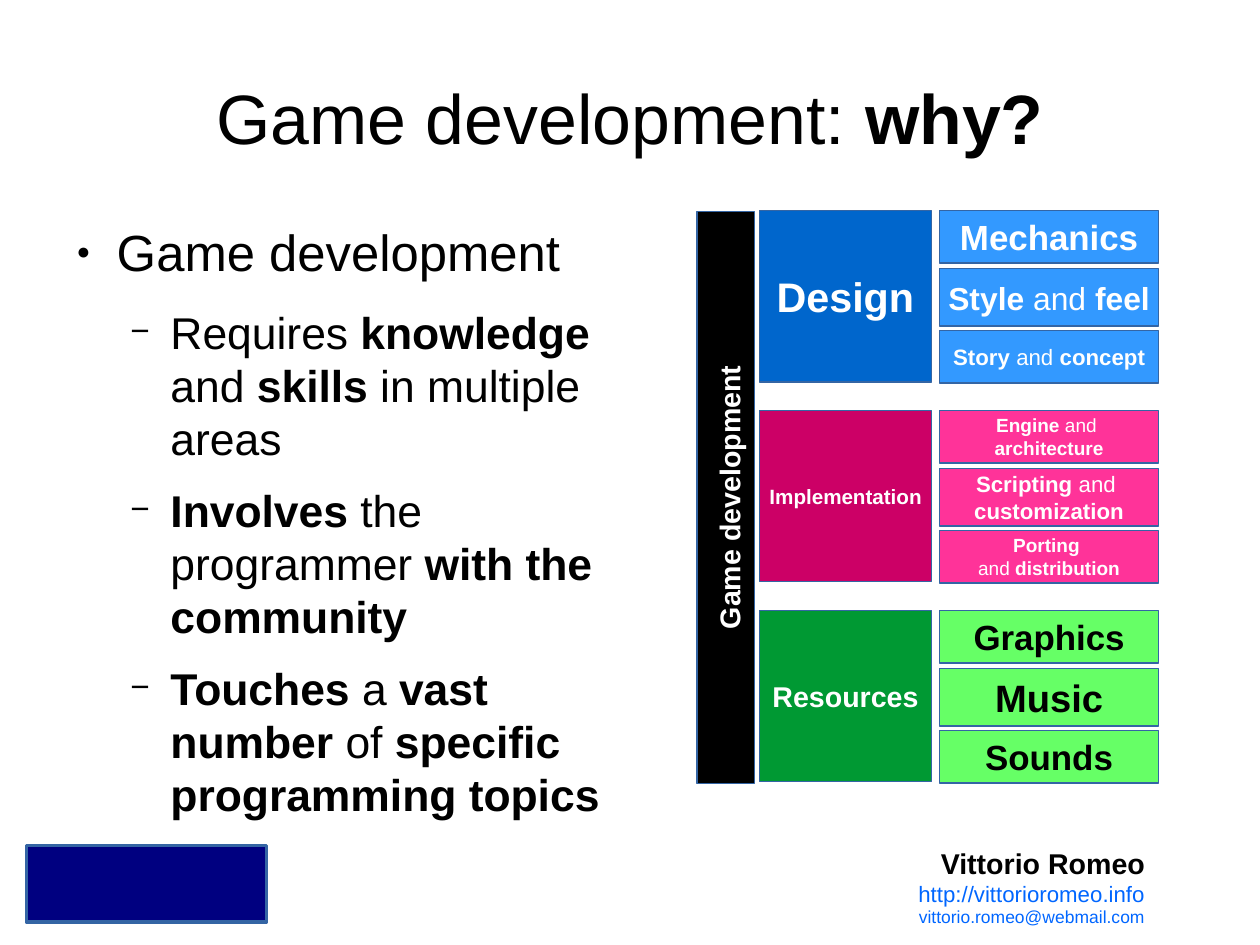
import pptx
import pptx.util
import pptx.dml.color
import pptx.enum.shapes
import pptx.enum.text
import lxml.etree

Pt = pptx.util.Pt
Inches = pptx.util.Inches
color = pptx.dml.color.RGBColor.from_string
ALIGN = pptx.enum.text.PP_ALIGN
ANCHOR = pptx.enum.text.MSO_ANCHOR

presentation = pptx.Presentation()
presentation.slide_width = pptx.util.Cm(28)
presentation.slide_height = pptx.util.Cm(21)
column = presentation.slide_width / 100   # grid of 100 columns
row = presentation.slide_height / 100     # by 100 rows
slide = presentation.slides.add_slide(presentation.slide_layouts[1])


def add_runs(paragraph, marked_text, size, ink, align):
    """Write text run by run; stretches between asterisks are bold."""
    paragraph.alignment = align
    for index, part in enumerate(marked_text.split("*")):
        if part:
            run = paragraph.add_run()
            run.text = part
            run.font.name = "Arial"
            run.font.size = Pt(size)
            run.font.bold = index % 2 == 1
            run.font.color.rgb = color(ink)


def add_block(left, top, width, height, fill, lines=(), size=18, ink="FFFFFF"):
    """Filled rectangle in grid units with centred lines of text."""
    shape = slide.shapes.add_shape(
        pptx.enum.shapes.MSO_SHAPE.RECTANGLE, int(left * column), int(top * row),
        int(width * column), int(height * row))
    shape.shadow.inherit = False
    shape.fill.solid()
    shape.fill.fore_color.rgb = color(fill)
    shape.line.color.rgb = color("3465A4")
    shape.line.width = Pt(0)
    frame = shape.text_frame
    frame.word_wrap = False
    frame.vertical_anchor = ANCHOR.MIDDLE
    for index, line in enumerate(lines):
        paragraph = frame.add_paragraph() if index else frame.paragraphs[0]
        add_runs(paragraph, line, size, ink, ALIGN.CENTER)
    return shape


# Title and body placeholders
title, body = slide.shapes.title, slide.placeholders[1]
for placeholder, (left, top, width, height), anchor in (
        (title, (5, 4, 90, 16.7), ANCHOR.MIDDLE),
        (body, (5, 23.4, 43.9, 57.9), ANCHOR.TOP)):
    placeholder.left, placeholder.width = int(left * column), int(width * column)
    placeholder.top, placeholder.height = int(top * row), int(height * row)
    frame = placeholder.text_frame
    frame.margin_left = frame.margin_right = frame.margin_top = frame.margin_bottom = 0
    frame.auto_size = pptx.enum.text.MSO_AUTO_SIZE.NONE
    frame.word_wrap = True
    frame.vertical_anchor = anchor
add_runs(title.text_frame.paragraphs[0], "Game development:* why?*", 44, "000000", ALIGN.CENTER)

# Bulleted list
bullet_styles = [  # size, space after, indent, bullet, bullet size
    (32, 14.2, 0.47, "●", 45),
    (28, 11.3, 0.94, "−", 75),
]
points = [
    (0, "Game development"),
    (1, "Requires *knowledge *and *skills* in multiple areas"),
    (1, "*Involves *the programmer *with the community*"),
    (1, "*Touches *a* vast number *of *specific programming topics*"),
]
for index, (level, text) in enumerate(points):
    size, space_after, indent, bullet, bullet_size = bullet_styles[level]
    frame = body.text_frame
    paragraph = frame.add_paragraph() if index else frame.paragraphs[0]
    paragraph.level = level
    paragraph.space_before = Pt(0)
    paragraph.space_after = Pt(space_after)
    add_runs(paragraph, text, size, "000000", ALIGN.LEFT)
    properties = paragraph._p.get_or_add_pPr()
    properties.set("marL", str(Inches(indent)))
    properties.set("indent", str(Inches(-0.35)))
    for tag, attribute, value in (("buSzPct", "val", str(bullet_size * 1000)),
                                  ("buFont", "typeface", "Arial"),
                                  ("buChar", "char", bullet)):
        element = lxml.etree.SubElement(properties, pptx.oxml.ns.qn("a:" + tag))
        element.set(attribute, value)

# Vertical bar spanning all areas
bar = add_block(34.9, 49.6, 45.37, 6.05, "000000", ["*Game development*"])
bar.rotation = 270
bar.text_frame.margin_top, bar.text_frame.margin_bottom = Inches(0.06), 0

# Areas, each with three topics
areas = [
    ("*Design*", 26, "0066CC", "3399FF", "FFFFFF", [
        (["*Mechanics*"], 22),
        (["*Style *and *feel*"], 20),
        (["*Story *and *concept*"], 14)]),
    ("*Implementation*", 13, "CC0066", "FF3399", "FFFFFF", [
        (["*Engine *and ", "*architecture*"], 12),
        (["*Scripting* and ", "*customization*"], 14),
        (["*Porting *", "and *distribution*"], 12)]),
    ("*Resources*", 18, "009933", "66FF66", "000000", [
        (["*Graphics*"], 22),
        (["*Music*"], 24),
        (["*Sounds*"], 22)]),
]
topic_rows = [(0, 5.56), (6.17, 6.05), (12.7, 5.56)]  # offset, height
for index, (name, size, dark, light, ink, topics) in enumerate(areas):
    top = 22.28 + 21.16 * index
    add_block(60.3, top, 13.61, 18.14, dark, [name], size)
    for (offset, height), (lines, topic_size) in zip(topic_rows, topics):
        add_block(74.6, top + offset, 17.33, height, light, lines, topic_size, ink)

# Footer: plain badge and contact details
badge = add_block(2.09, 89.45, 19.06, 8.1, "000080")
badge.line.width = Pt(2.3)
contact = slide.shapes.add_textbox(
    int(71.9 * column), int(88.88 * row), int(19.87 * column), int(9.31 * row))
contact.text_frame.word_wrap = False
for index, (text, size, ink) in enumerate((
        ("*Vittorio Romeo*", 18, "000000"),
        ("http://vittorioromeo.info", 14, "0066FF"),
        ("vittorio.romeo@webmail.com", 11, "0066FF"))):
    frame = contact.text_frame
    paragraph = frame.add_paragraph() if index else frame.paragraphs[0]
    add_runs(paragraph, text, size, ink, ALIGN.RIGHT)

presentation.save("out.pptx")
